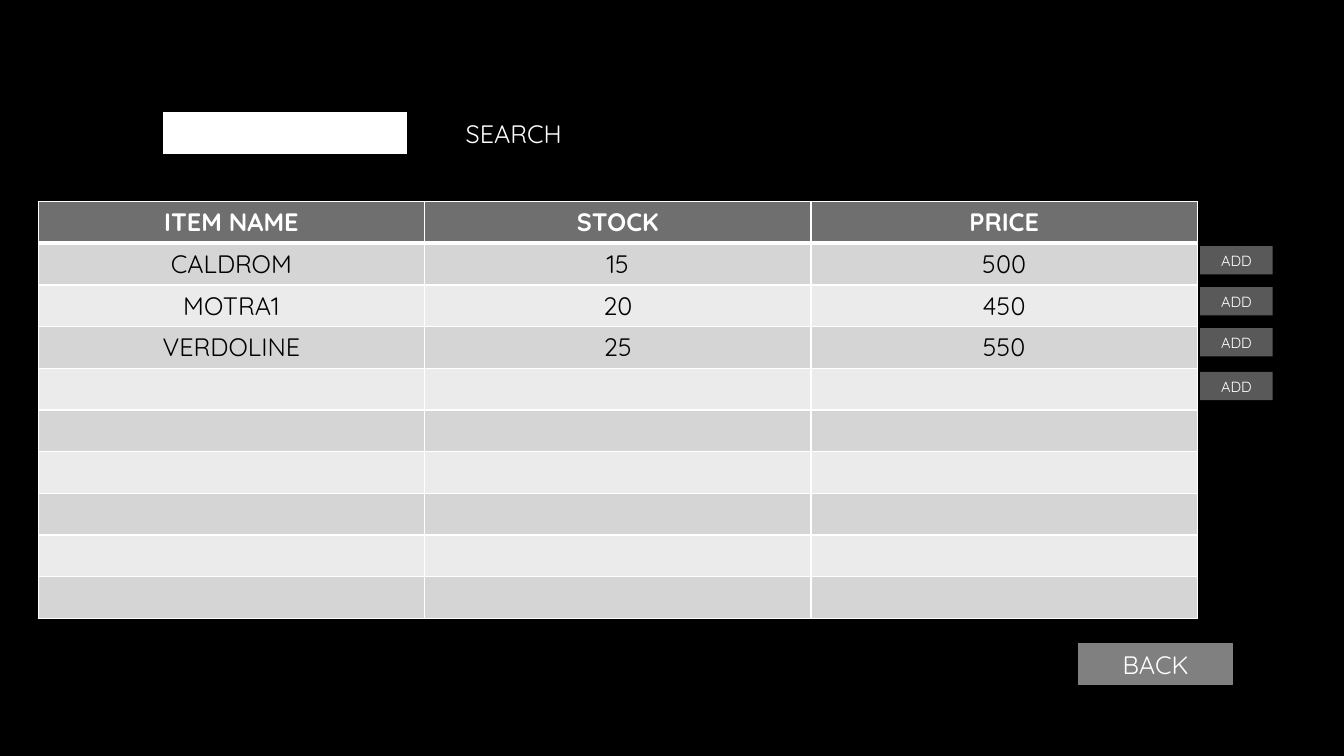
from dataclasses import dataclass
from lxml import etree
from pptx import Presentation
from pptx import util as u
from pptx.dml import color
from pptx.enum import shapes, text
from pptx.oxml import ns

Pt = u.Pt


@dataclass(frozen=True)
class Theme:
    font: str = "Quicksand"
    body: float = 18
    small: float = 10.5
    black: str = "000000"
    white: str = "FFFFFF"
    head: str = "6F6F6F"
    odd: str = "D5D5D5"
    even: str = "EBEBEB"
    back: str = "808080"
    add: str = "595959"


T = Theme()


def rgb(tone):
    return color.RGBColor.from_string(tone)


def style(frame, words, size, tone, bold=False):
    frame.text = words
    para = frame.paragraphs[0]
    para.alignment = text.PP_ALIGN.CENTER
    for run in para.runs:
        run.font.name = T.font
        run.font.size = Pt(size)
        run.font.bold = bold
        run.font.color.rgb = rgb(tone)


def button(slide, box, fill, words="", size=T.body, line=None, width=0.75):
    shape = slide.shapes.add_shape(shapes.MSO_SHAPE.RECTANGLE, *map(Pt, box))
    shape.shadow.inherit = False
    shape.fill.solid()
    shape.fill.fore_color.rgb = rgb(fill)
    if line:
        shape.line.color.rgb = rgb(line)
        shape.line.width = Pt(width)
    else:
        shape.line.fill.background()
    if words:
        frame = shape.text_frame
        frame.vertical_anchor = text.MSO_ANCHOR.MIDDLE
        style(frame, words, size, T.white)


def edge(cell, side, width):
    props = cell._tc.get_or_add_tcPr()
    line = etree.SubElement(props, ns.qn(f"a:ln{side}"), w=str(Pt(width)))
    fill = etree.SubElement(line, ns.qn("a:solidFill"))
    etree.SubElement(fill, ns.qn("a:srgbClr"), val=T.white)


def search(slide, box):
    left, top, width, height = box
    button(slide, (left + 190.8, top, width - 190.8, height), T.black, "SEARCH")
    button(slide, (left, top, 176.4, 31), T.white, line=T.black, width=1.5)


def stock(slide, box, rows, count):
    grid = slide.shapes.add_table(count, len(rows[0]), *map(Pt, box)).table
    for col in grid.columns:
        col.width = Pt(box[2] / len(rows[0]))
    for r, row in enumerate(grid.rows):
        row.height = Pt(box[3] / count)
        for c, cell in enumerate(row.cells):
            for side in "LRTB":
                thick = (r == 0 and side == "B") or (r == 1 and side == "T")
                edge(cell, side, 3 if thick else 1)
            cell.fill.solid()
            tone = T.head if r == 0 else (T.odd if r % 2 else T.even)
            cell.fill.fore_color.rgb = rgb(tone)
            if r < len(rows):
                ink = T.black if r else T.white
                style(cell.text_frame, rows[r][c], T.body, ink, r == 0)


def adds(slide, box, drops):
    left, top, width, height = box
    for drop in drops:
        button(slide, (left, top + drop, width, height), T.add, "ADD", T.small)


def main():
    deck = Presentation()
    deck.slide_width, deck.slide_height = Pt(960), Pt(540)
    slide = deck.slides.add_slide(deck.slide_layouts[6])
    slide.background.fill.solid()
    slide.background.fill.fore_color.rgb = rgb(T.black)
    rows = [
        ("ITEM NAME", "STOCK", "PRICE"),
        ("CALDROM", "15", "500"),
        ("MOTRA1", "20", "450"),
        ("VERDOLINE", "25", "550"),
    ]
    stock(slide, (27.3, 144, 828, 297.5), rows, 10)
    search(slide, (115.4, 79.5, 312.2, 31.5))
    button(slide, (770.4, 459.8, 110, 29), T.back, "BACK", line=T.back)
    adds(slide, (857.2, 175.8, 51.8, 20.2), (0, 29.3, 58.5, 89.9))
    deck.save("out.pptx")


if __name__ == "__main__":
    main()
